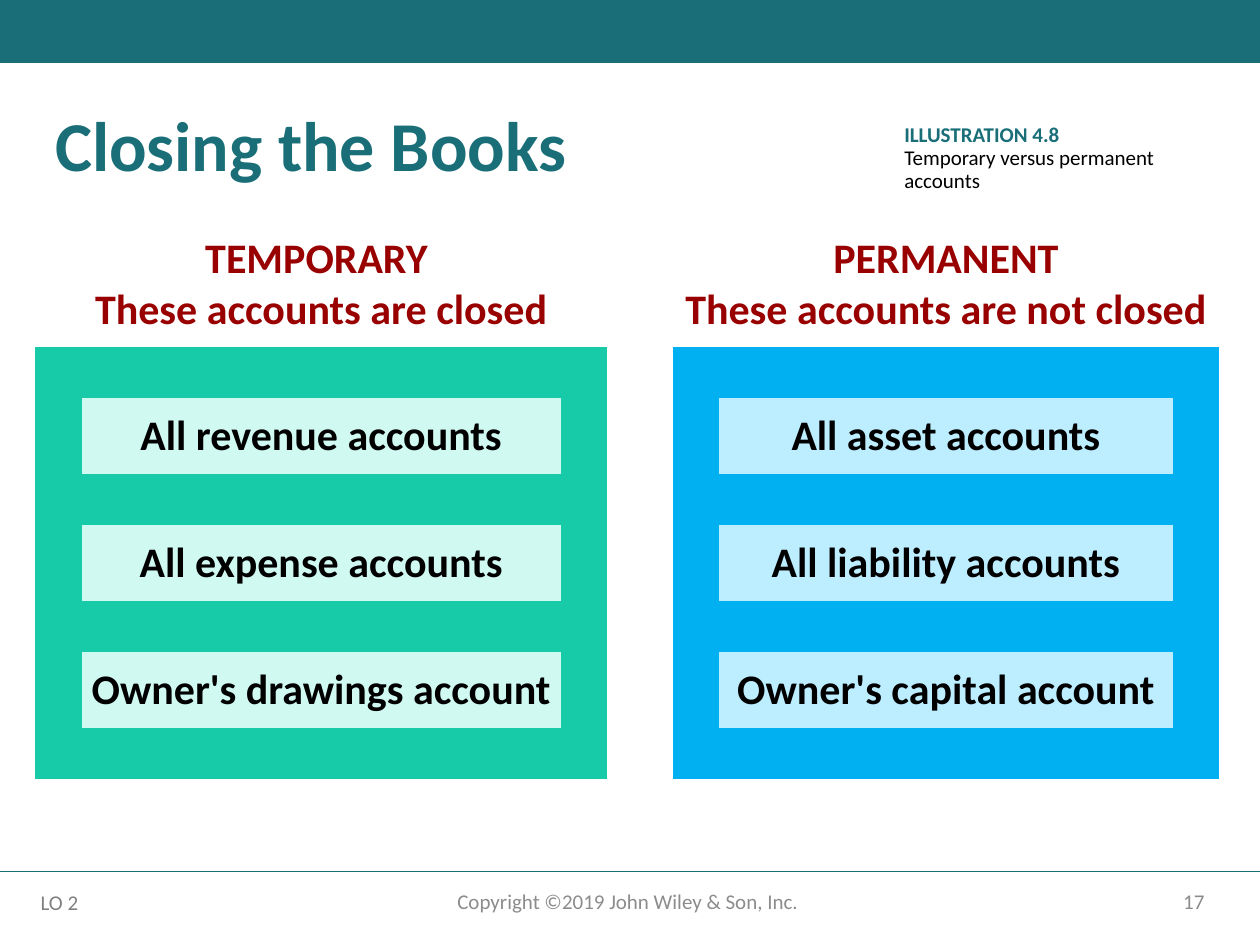
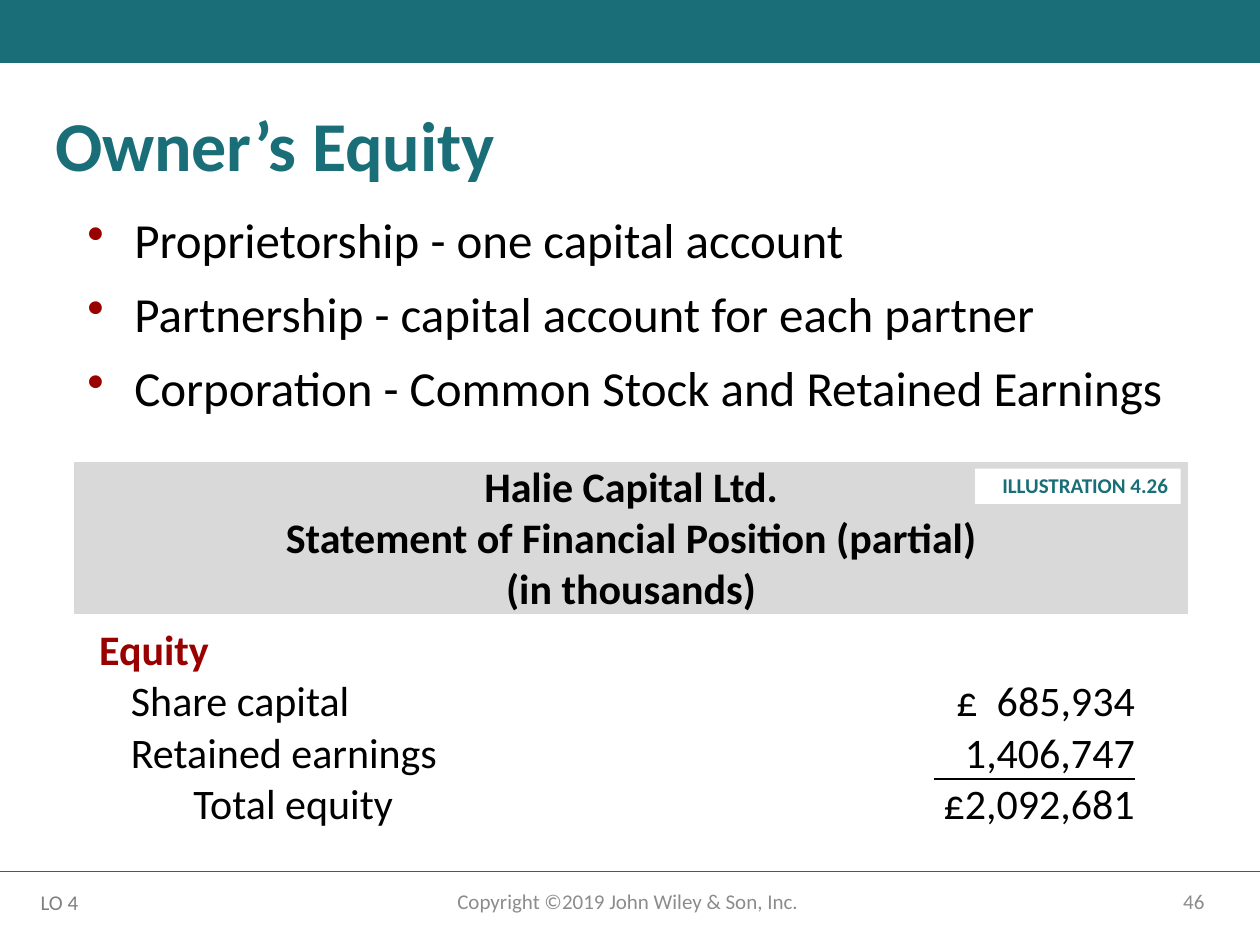
from lxml import etree
from pptx import Presentation
from pptx.dml.color import RGBColor
from pptx.enum.shapes import MSO_CONNECTOR, MSO_SHAPE
from pptx.enum.text import MSO_ANCHOR, PP_ALIGN
from pptx.oxml import parse_xml
from pptx.util import Cm, Pt

LEFT, CENTER, RIGHT = PP_ALIGN.LEFT, PP_ALIGN.CENTER, PP_ALIGN.RIGHT
TOP, MIDDLE, BOTTOM = MSO_ANCHOR.TOP, MSO_ANCHOR.MIDDLE, MSO_ANCHOR.BOTTOM
RECTANGLE, STRAIGHT = MSO_SHAPE.RECTANGLE, MSO_CONNECTOR.STRAIGHT

FONT = "Calibri"
TEAL, RED, BLACK, WHITE = "196E78", "990000", "000000", "FFFFFF"
FOOTER_GREY, OBJECTIVE_GREY, HEADING_GREY = "8C8C8C", "808080", "D9D9D9"
GREEN, PALE_GREEN, BLUE, PALE_BLUE = "17CBA9", "CFF9F1", "00B0F0", "BDEEFF"
DRAWING_NS = "http://schemas.openxmlformats.org/drawingml/2006/main"
A = "{" + DRAWING_NS + "}"
PLAIN_TABLE_STYLE = "{2D5ABB26-0587-4C30-8999-92F81FD0307C}"


def paint(target, color):
    """Give a solid colour to a fill, or to the fill of a line or font."""
    fill = target if hasattr(target, "solid") else target.fill
    fill.solid()
    fill.fore_color.rgb = RGBColor.from_string(color)


def write(frame, lines, size, color, bold=False, align=LEFT, spacing=None,
          indent=0, bullet=False):
    """Fill a text frame with one paragraph per line, all in one style."""
    frame.word_wrap = True
    for number, line in enumerate(lines):
        paragraph = frame.paragraphs[0] if number == 0 else frame.add_paragraph()
        paragraph.text = line
        properties = paragraph._p.get_or_add_pPr()
        if indent:
            properties.set("marL", str(Cm(indent)))
        if bullet:
            properties.set("indent", str(-Cm(0.95)))
            bullet_color = etree.SubElement(properties, A + "buClr")
            etree.SubElement(bullet_color, A + "srgbClr", val=RED)
            etree.SubElement(properties, A + "buChar", char="•")
        paragraph.alignment = align
        if spacing:
            paragraph.line_spacing = spacing
        paragraph.font.name = FONT
        paragraph.font.size = Pt(size)
        paragraph.font.bold = bold
        paint(paragraph.font, color)


deck = Presentation()
deck.slide_width, deck.slide_height = Cm(25.4), Cm(19.05)

# Band, title and footer of every slide
slides = []
for title, objective, page in [("Closing the Books", "LO 2", "17"),
                               ("Owner’s Equity", "LO 4", "46")]:
    slide = deck.slides.add_slide(deck.slide_layouts[6])
    slides.append(slide)

    band = slide.shapes.add_shape(RECTANGLE, 0, 0, deck.slide_width, Cm(1.27))
    band.shadow.inherit = False
    paint(band.fill, TEAL)
    band.line.fill.background()

    footer_rule = slide.shapes.add_connector(STRAIGHT, 0, Cm(17.57), deck.slide_width, Cm(17.57))
    paint(footer_rule.line, TEAL)
    footer_rule.line.width = Pt(1)
    etree.SubElement(footer_rule._element.spPr, A + "effectLst")

    heading = slide.shapes.add_textbox(Cm(0.86), Cm(2.11), Cm(16.5), Cm(1.8))
    write(heading.text_frame, [title], 40, TEAL, bold=True, spacing=0.9)

    for text, left, width, align in [("Copyright ©2019 John Wiley & Son, Inc. ", 8.41, 8.59, CENTER),
                                     (page, 17.93, 6.6, RIGHT)]:
        footer = slide.shapes.add_textbox(Cm(left), Cm(17.65), Cm(width), Cm(1.02))
        footer.text_frame.vertical_anchor = MIDDLE
        write(footer.text_frame, [text], 12, FOOTER_GREY, align=align)

    objective_label = slide.shapes.add_textbox(Cm(0.64), Cm(17.81), Cm(1.35), Cm(0.76))
    objective_label.text_frame.margin_left = objective_label.text_frame.margin_right = 0
    write(objective_label.text_frame, [objective], 12, OBJECTIVE_GREY, indent=0.18)

closing_slide, equity_slide = slides

# Bare tables for both slides
tables = []
for slide, left, top, widths, heights in [
    (closing_slide, 0.71, 4.7, [0.94, 9.65, 0.94, 1.32, 0.94, 9.14, 0.94],
     [2.3] + [1.03, 1.53] * 3 + [1.03]),
    (equity_slide, 1.5, 9.32, [16.74, 0.58, 4.06, 1.07], [3.05, 1.28] + [1.03] * 3),
]:
    table = slide.shapes.add_table(len(heights), len(widths), Cm(left), Cm(top),
                                   Cm(sum(widths)), Cm(sum(heights))).table
    table.first_row = table.horz_banding = False
    table._tbl.tblPr.find(A + "tableStyleId").text = PLAIN_TABLE_STYLE
    for column, width in zip(table.columns, widths):
        column.width = Cm(width)
    for row, height in zip(table.rows, heights):
        row.height = Cm(height)
    for cell in table.iter_cells():
        cell.fill.background()
    tables.append(table)
accounts, statement = tables

# Temporary and permanent accounts
account_groups = [
    (0, ["TEMPORARY ", "These accounts are closed"], GREEN, PALE_GREEN,
     ["All revenue accounts", "All expense accounts", "Owner's drawings account"]),
    (4, ["PERMANENT", "These accounts are not closed"], BLUE, PALE_BLUE,
     ["All asset accounts", "All liability accounts", "Owner's capital account"]),
]
for first, group_heading, panel_color, entry_color, entries in account_groups:
    heading_cell = accounts.cell(0, first)
    heading_cell.merge(accounts.cell(0, first + 2))
    heading_cell.vertical_anchor = MIDDLE
    heading_cell.margin_left = heading_cell.margin_right = heading_cell.margin_top = 0
    heading_cell.margin_bottom = Cm(0.25)
    write(heading_cell.text_frame, group_heading, 24, RED, bold=True, align=CENTER)

    for row in range(1, 8):
        for column in range(first, first + 3):
            paint(accounts.cell(row, column).fill, panel_color)
    for number, entry in enumerate(entries):
        entry_cell = accounts.cell(2 + 2 * number, first + 1)
        paint(entry_cell.fill, entry_color)
        entry_cell.vertical_anchor = MIDDLE
        entry_cell.margin_left = entry_cell.margin_right = 0
        entry_cell.margin_top = entry_cell.margin_bottom = Cm(0.25)
        write(entry_cell.text_frame, [entry], 24, BLACK, bold=True, align=CENTER)

# Forms of ownership
ownership = equity_slide.shapes.add_textbox(Cm(0.86), Cm(4.24), Cm(23.7), Cm(4.6))
write(ownership.text_frame,
      ["Proprietorship - one capital account",
       "Partnership - capital account for each partner",
       "Corporation - Common Stock and Retained Earnings"],
      28, BLACK, spacing=0.9, indent=1.6, bullet=True)
for paragraph in ownership.text_frame.paragraphs[1:]:
    paragraph.space_before = Pt(12)

# Partial statement of financial position
for cell in statement.iter_cells():
    cell.margin_left = cell.margin_right = cell.margin_top = cell.margin_bottom = 0
    cell.vertical_anchor = BOTTOM
statement_heading = statement.cell(0, 0)
statement_heading.merge(statement.cell(0, 3))
paint(statement_heading.fill, HEADING_GREY)
write(statement_heading.text_frame,
      ["Halie Capital Ltd.", "Statement of Financial Position (partial)", "(in thousands)"],
      24, BLACK, bold=True, align=CENTER)

equity_lines = [
    ("Equity", None, 0, RED),
    ("Share capital", "£  685,934", 0.64, BLACK),
    ("Retained earnings", "1,406,747", 0.64, BLACK),
    ("Total equity", "£2,092,681", 1.9, BLACK),
]
for row, (label, amount, indent, color) in enumerate(equity_lines, start=1):
    label_cell = statement.cell(row, 0)
    label_cell.margin_left = Cm(0.5)
    write(label_cell.text_frame, [label], 24, color, bold=amount is None, indent=indent)
    if amount:
        write(statement.cell(row, 2).text_frame, [amount], 24, BLACK, align=RIGHT)

for row, edge in [(3, "lnB"), (4, "lnT")]:
    sum_rule = parse_xml(
        f'<a:{edge} xmlns:a="{DRAWING_NS}" w="{Pt(1.5)}"><a:solidFill>'
        f'<a:srgbClr val="{BLACK}"/></a:solidFill></a:{edge}>')
    statement.cell(row, 2)._tc.get_or_add_tcPr().insert(0, sum_rule)

# Illustration captions
for slide, lines, left, top, width, height, align in [
    (closing_slide, ["ILLUSTRATION 4.8", "Temporary versus permanent accounts"],
     17.98, 2.39, 5.77, 1.65, LEFT),
    (equity_slide, ["ILLUSTRATION 4.26"], 19.66, 9.45, 4.14, 0.71, RIGHT),
]:
    caption = slide.shapes.add_shape(RECTANGLE, Cm(left), Cm(top), Cm(width), Cm(height))
    caption.shadow.inherit = False
    paint(caption.fill, WHITE)
    caption.line.fill.background()
    caption.text_frame.vertical_anchor = TOP
    write(caption.text_frame, lines, 12, TEAL, bold=True, align=align, spacing=0.9)
    for description in caption.text_frame.paragraphs[1:]:
        description.font.bold = False
        paint(description.font, BLACK)

deck.save("out.pptx")
